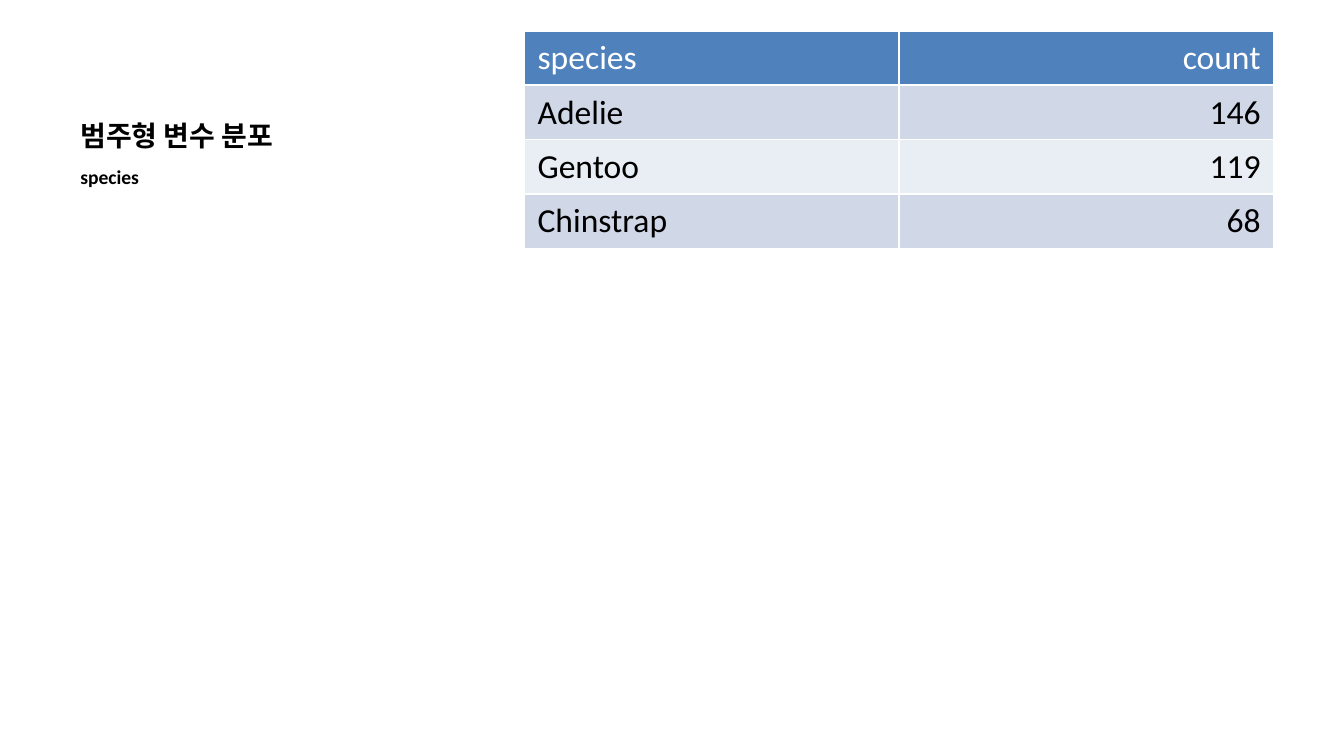
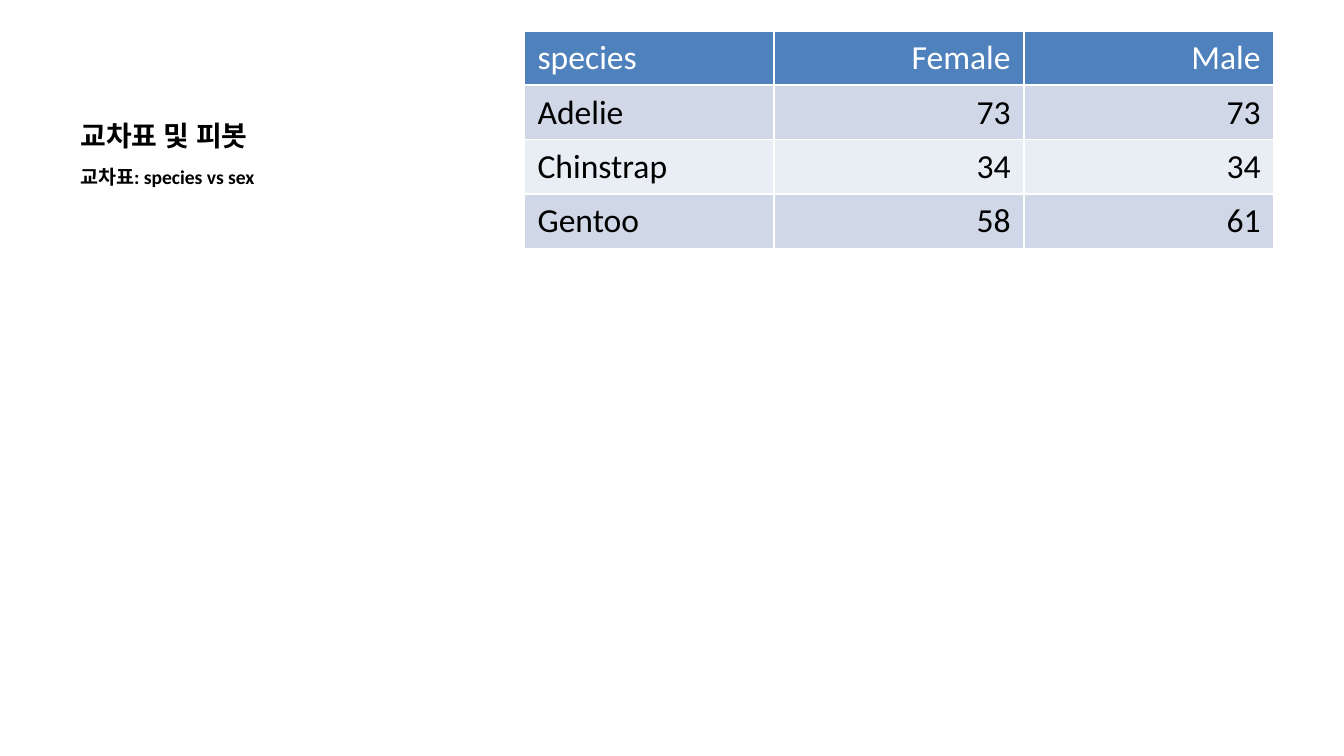
from lxml.etree import SubElement as Sub
from pptx import Presentation
from pptx.dml.color import RGBColor as Rgb
from pptx.enum.text import MSO_ANCHOR as Anchor, PP_ALIGN as Align
from pptx.oxml.ns import qn
from pptx.util import Inches, Pt

SLIDES = [
    {
        "title": "범주형 변수 분포",
        "note": "species",
        "rows": [
            ("species", "count"),
            ("Adelie", "146"),
            ("Gentoo", "119"),
            ("Chinstrap", "68"),
        ],
    },
    {
        "title": "교차표 및 피봇",
        "note": "교차표: species vs sex",
        "rows": [
            ("species", "Female", "Male"),
            ("Adelie", "73", "73"),
            ("Chinstrap", "34", "34"),
            ("Gentoo", "58", "61"),
        ],
    },
]

COLORS = {
    "text": "000000",
    "white": "FFFFFF",
    "head": "4F81BD",
    "odd": "D0D8E8",
    "even": "E9EDF4",
}
FONT = "Calibri"
WIDTH = Inches(10)
HEIGHT = WIDTH * 9 // 16
TITLE_BOX = (0.5, 0.23, 3.29, 0.95)
NOTE_BOX = (0.5, 1.18, 3.29, 3.85)
TABLE_BOX = (3.9, 0.23, 5.58, 1.62)


def color(name):
    return Rgb.from_string(COLORS[name])


def add_run(par, text, size, tone="text", bold=False):
    run = par.add_run()
    run.text = text
    font = run.font
    font.name, font.size, font.bold = FONT, Pt(size), bold
    font.color.rgb = color(tone)


def add_label(slide, box, text, size, anchor):
    frame = slide.shapes.add_textbox(*map(Inches, box)).text_frame
    frame.word_wrap = True
    frame.vertical_anchor = anchor
    add_run(frame.paragraphs[0], text, size, bold=True)


def add_borders(cell):
    props = cell._tc.get_or_add_tcPr()
    for side in ("lnL", "lnR", "lnT", "lnB"):
        line = Sub(props, qn(f"a:{side}"), w=str(Pt(1)))
        fill = Sub(line, qn("a:solidFill"))
        Sub(fill, qn("a:srgbClr"), val=COLORS["white"])


def add_grid(slide, rows):
    box = map(Inches, TABLE_BOX)
    table = slide.shapes.add_table(len(rows), len(rows[0]), *box).table
    for i, row in enumerate(rows):
        band = "head" if i == 0 else "odd" if i % 2 else "even"
        tone = "white" if i == 0 else "text"
        for j, text in enumerate(row):
            cell = table.cell(i, j)
            add_borders(cell)
            cell.fill.solid()
            cell.fill.fore_color.rgb = color(band)
            par = cell.text_frame.paragraphs[0]
            par.alignment = Align.RIGHT if j else Align.LEFT
            add_run(par, text, 18, tone)


def main():
    deck = Presentation()
    deck.slide_width, deck.slide_height = WIDTH, HEIGHT
    for page in SLIDES:
        slide = deck.slides.add_slide(deck.slide_layouts[6])
        add_label(slide, TITLE_BOX, page["title"], 15, Anchor.BOTTOM)
        add_label(slide, NOTE_BOX, page["note"], 10.5, Anchor.TOP)
        add_grid(slide, page["rows"])
    deck.save("out.pptx")


if __name__ == "__main__":
    main()
